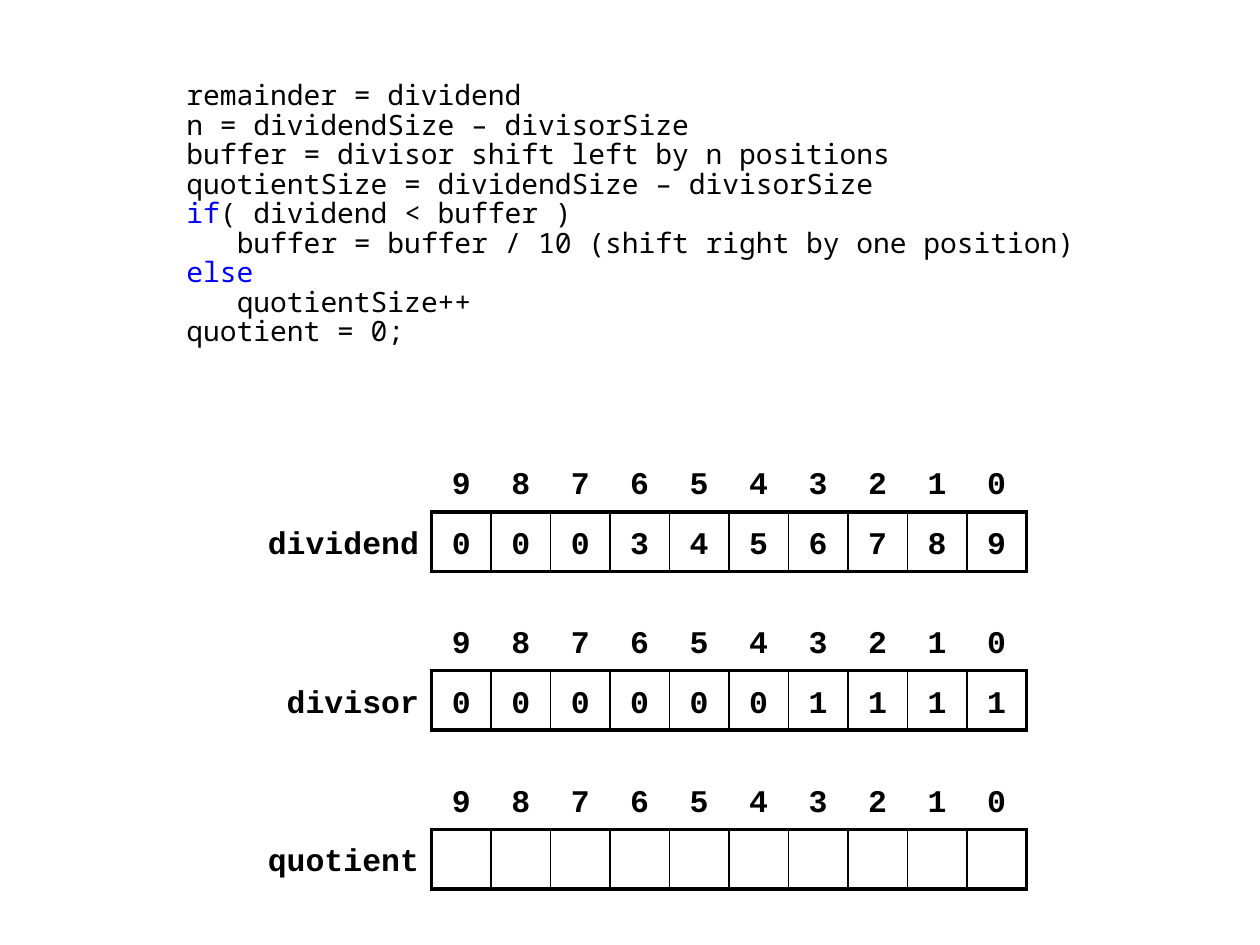
from lxml.etree import SubElement
from pptx import Presentation
from pptx.dml.color import RGBColor
from pptx.enum.text import MSO_ANCHOR, PP_ALIGN
from pptx.oxml.ns import qn
from pptx.util import Pt

BLACK = RGBColor(0, 0, 0)
BLUE = RGBColor(0, 0, 255)

# (indent level, keyword, rest of the line)
CODE = [
    (0, "", "remainder = dividend"),
    (0, "", "n = dividendSize – divisorSize"),
    (0, "", "buffer = divisor shift left by n positions"),
    (0, "", "quotientSize = dividendSize – divisorSize"),
    (0, "if", "( dividend < buffer )"),
    (1, "", "buffer = buffer / 10 (shift right by one position)"),
    (0, "else", ""),
    (1, "", "quotientSize++"),
    (0, "", "quotient = 0;"),
]
POSITIONS = "9876543210"
REGISTERS = [("dividend", "0003456789"), ("divisor", "0000001111"), ("quotient", " " * 10)]

CODE_INDENT = 28.8
TABLE_LEFT, TABLE_TOP, TABLE_PITCH = 133.2, 258.5, 90.7
LABEL_WIDTH, CELL = 113.4, 34
THICK, THIN = 2.25, 1


def style_run(r, font, size, color, bold=False):
    r.font.name = font
    r.font.size = Pt(size)
    r.font.color.rgb = color
    r.font.bold = bold


def add_code(slide):
    box = slide.shapes.add_textbox(Pt(99.4), Pt(43.2), Pt(522), Pt(181.4))
    tf = box.text_frame
    tf.word_wrap = True
    for i, (level, keyword, rest) in enumerate(CODE):
        p = tf.paragraphs[0] if i == 0 else tf.add_paragraph()
        p.line_spacing = 0.88
        if level:
            p._p.get_or_add_pPr().set("indent", str(Pt(CODE_INDENT * level)))
        for text, color in ((keyword, BLUE), (rest, BLACK)):
            if text:
                r = p.add_run()
                r.text = text
                style_run(r, "Noto Sans Mono", 16, color)


def set_borders(cell, widths):
    """Draw the sides named in widths (L, R, T, B) and clear the others."""
    tcPr = cell._tc.get_or_add_tcPr()
    for side in "LRTB":
        width = widths.get(side, 0)
        ln = SubElement(tcPr, qn(f"a:ln{side}"), w=str(Pt(width)))
        if width:
            fill = SubElement(ln, qn("a:solidFill"))
            SubElement(fill, qn("a:srgbClr"), val=str(BLACK))
        else:
            SubElement(ln, qn("a:noFill"))


def border_widths(row, col, last):
    if col == 0:
        return {"R": THICK} if row else {}
    if row == 0:
        return {"B": THICK}
    return {"L": THICK if col == 1 else THIN, "R": THICK if col == last else THIN,
            "T": THICK, "B": THICK}


def add_register(slide, top, label, digits):
    rows = [["", *POSITIONS], [label, *digits]]
    last = len(POSITIONS)
    frame = slide.shapes.add_table(2, last + 1, Pt(TABLE_LEFT), Pt(top),
                                   Pt(LABEL_WIDTH + CELL * last), Pt(CELL * 2))
    table = frame.table
    table.first_row = table.horz_banding = False
    for col, column in enumerate(table.columns):
        column.width = Pt(CELL if col else LABEL_WIDTH)
    for row, texts in enumerate(rows):
        table.rows[row].height = Pt(CELL)
        for col, text in enumerate(texts):
            cell = table.cell(row, col)
            cell.margin_top = cell.margin_bottom = Pt(3)
            cell.vertical_anchor = MSO_ANCHOR.MIDDLE
            set_borders(cell, border_widths(row, col, last))
            cell.fill.background()
            p = cell.text_frame.paragraphs[0]
            p.text = text.strip()
            p.alignment = PP_ALIGN.CENTER if col else PP_ALIGN.RIGHT
            p.line_spacing = 1.25
            for r in p.runs:
                style_run(r, "Courier New", 18, BLACK, bold=True)


def main():
    prs = Presentation()
    prs.slide_width, prs.slide_height = Pt(720), Pt(540)
    slide = prs.slides.add_slide(prs.slide_layouts[6])
    add_code(slide)
    for i, (label, digits) in enumerate(REGISTERS):
        add_register(slide, TABLE_TOP + i * TABLE_PITCH, label, digits)
    prs.save("out.pptx")


if __name__ == "__main__":
    main()
